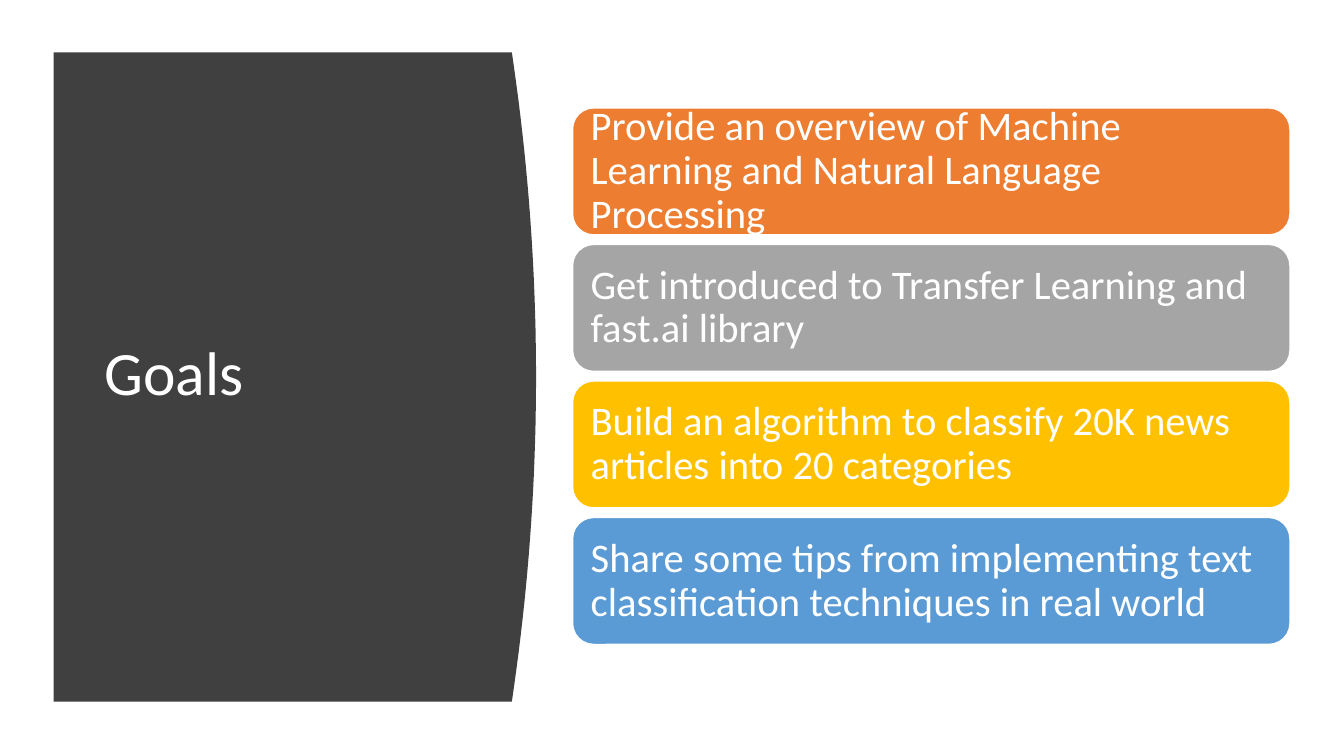
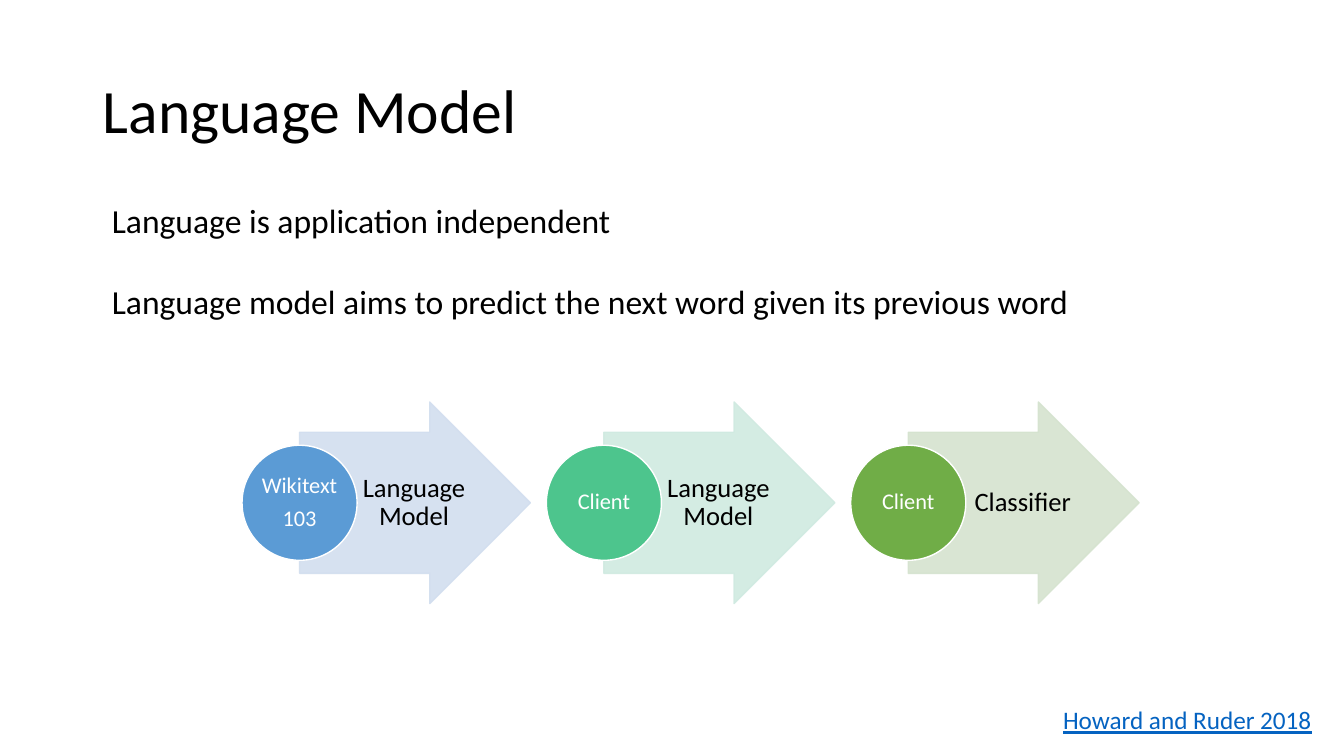
from pptx import Presentation
from pptx.dml.color import RGBColor
from pptx.enum.shapes import MSO_SHAPE as Shape
from pptx.enum.text import MSO_ANCHOR as Anchor, PP_ALIGN as Align
from pptx.oxml.ns import qn
from pptx.oxml.xmlchemy import OxmlElement
from pptx.util import Cm, Pt

# Content
GOALS_TITLE = "Goals"
GOALS = [
    ("Provide an overview of Machine Learning and Natural Language Processing", "ED7D31"),
    ("Get introduced to Transfer Learning and fast.ai library", "A5A5A5"),
    ("Build an algorithm to classify 20K news articles into 20 categories", "FFC000"),
    ("Share some tips from implementing text classification techniques in real world", "5B9BD5"),
]
MODEL_TITLE = "Language Model"
MODEL_POINTS = [
    "Language is application independent",
    "Language model aims to predict the next word given its previous word",
]
# Circle text, circle colour, arrow text, arrow colour
STAGES = [
    (["Wikitext", "103"], "5B9BD5", "Language Model", "D2DEEF"),
    (["Client"], "4DC58D", "Language Model", "D0EAE1"),
    (["Client"], "70AD47", "Classifier", "D5E3CF"),
]
CITATION = "Howard and Ruder 2018"

# Shared style
FONT = "Calibri"
WHITE, BLACK, PANEL, LINK = "FFFFFF", "000000", "404040", "0563C1"
TITLE_SIZE = 44
DEFAULT_INSETS = (0.25, 0.13, 0.25, 0.13)


def color(value):
    return RGBColor.from_string(value)


def write(shape, lines, size, text_color, align=Align.LEFT, spacing=0.9, gap=0,
          anchor=Anchor.MIDDLE, insets=DEFAULT_INSETS, wrap=True, underline=None):
    """Fill a shape with one paragraph per line; gap is in points."""
    frame = shape.text_frame
    frame.word_wrap = wrap
    frame.vertical_anchor = anchor
    (frame.margin_left, frame.margin_top,
     frame.margin_right, frame.margin_bottom) = map(Cm, insets)
    frame.text = "\n".join(lines)
    for index, paragraph in enumerate(frame.paragraphs):
        paragraph.alignment = align
        paragraph.line_spacing = spacing
        if index:
            paragraph.space_before = Pt(gap)
        for run in paragraph.runs:
            run.font.name = FONT
            run.font.size = Pt(size)
            run.font.color.rgb = color(text_color)
            run.font.underline = underline


def add_text(slide, box, lines, size, text_color, **style):
    write(slide.shapes.add_textbox(*map(Cm, box)), lines, size, text_color, **style)


def add_title(slide, box, title, text_color):
    add_text(slide, box, [title], TITLE_SIZE, text_color)


def paint(shape, fill, line=WHITE):
    shape.shadow.inherit = False
    shape.fill.solid()
    shape.fill.fore_color.rgb = color(fill)
    shape.line.color.rgb = color(line)
    shape.line.width = Pt(1)


def add_block(slide, kind, box, fill, line=WHITE):
    shape = slide.shapes.add_shape(kind, *map(Cm, box))
    paint(shape, fill, line)
    return shape


def set_opacity(shape, percent):
    for node in shape._element.spPr.iter(qn("a:srgbClr")):
        alpha = OxmlElement("a:alpha")
        alpha.set("val", str(percent * 1000))
        node.append(alpha)


def add_curved_panel(slide, left, top, right, bottom, bulge, steps=40):
    """Dark panel whose right edge swells outwards in a parabola."""
    edge = []
    for step in range(steps + 1):
        share = step / steps
        x = right + bulge * 4 * share * (1 - share)
        edge.append((Cm(x), Cm(top + share * (bottom - top))))
    builder = slide.shapes.build_freeform(Cm(left), Cm(top))
    builder.add_line_segments(edge + [(Cm(left), Cm(bottom))], close=True)
    panel = builder.convert_to_shape()
    paint(panel, PANEL)
    panel.line.fill.background()


def build_goals(slide):
    add_curved_panel(slide, 1.35, 1.32, 12.9, 17.68, bulge=0.61)
    add_title(slide, (2.39, 2.82, 9.5, 13.31), GOALS_TITLE, WHITE)

    # Stack of goal cards
    left, top, width, height, pitch = 14.43, 2.72, 18.08, 3.2, 3.44
    for index, (goal, fill) in enumerate(GOALS):
        card = add_block(slide, Shape.ROUNDED_RECTANGLE,
                         (left, top + index * pitch, width, height), fill)
        write(card, [goal], 29, WHITE, insets=(0.3,) * 4)


def build_language_model(slide):
    add_title(slide, (2.34, 1.02, 29.21, 3.68), MODEL_TITLE, BLACK)

    # Row of arrows, each starting at the centre of its circle
    first_left, middle, pitch, diameter = 6.1, 12.67, 7.73 - 0.06, 2.9
    arrow_width, arrow_height, shaft_share = 5.82, 5.08, 0.7
    label_width, label_height = 2.82, arrow_height * shaft_share
    for index, (source, circle_fill, result, arrow_fill) in enumerate(STAGES):
        left = first_left + index * pitch
        arrow = add_block(slide, Shape.RIGHT_ARROW,
                          (left + diameter / 2, middle - arrow_height / 2,
                           arrow_width, arrow_height), arrow_fill, arrow_fill)
        arrow.adjustments[0] = shaft_share
        arrow.adjustments[1] = 0.5
        set_opacity(arrow, 90)
        add_text(slide, (left + diameter, middle - label_height / 2,
                         label_width, label_height),
                 [result], 19, BLACK, align=Align.CENTER,
                 insets=(0.13, 0.03, 0.08, 0.03))
        circle = add_block(slide, Shape.OVAL,
                           (left, middle - diameter / 2, diameter, diameter), circle_fill)
        write(circle, source, 16, WHITE, align=Align.CENTER, gap=6, insets=(0.03,) * 4)

    # Statements and citation
    add_text(slide, (2.57, 4.9, 26.16, 3.33), MODEL_POINTS, 24, BLACK,
             spacing=1.0, gap=29, anchor=Anchor.TOP)
    add_text(slide, (26.54, 17.63, 6.86, 1.02), [CITATION], 18, LINK,
             spacing=1.0, anchor=Anchor.TOP, wrap=False, underline=True)


def main():
    presentation = Presentation()
    presentation.slide_width, presentation.slide_height = Cm(33.87), Cm(19.05)
    blank = presentation.slide_layouts[6]
    for build in (build_goals, build_language_model):
        build(presentation.slides.add_slide(blank))
    presentation.save("out.pptx")


if __name__ == "__main__":
    main()
